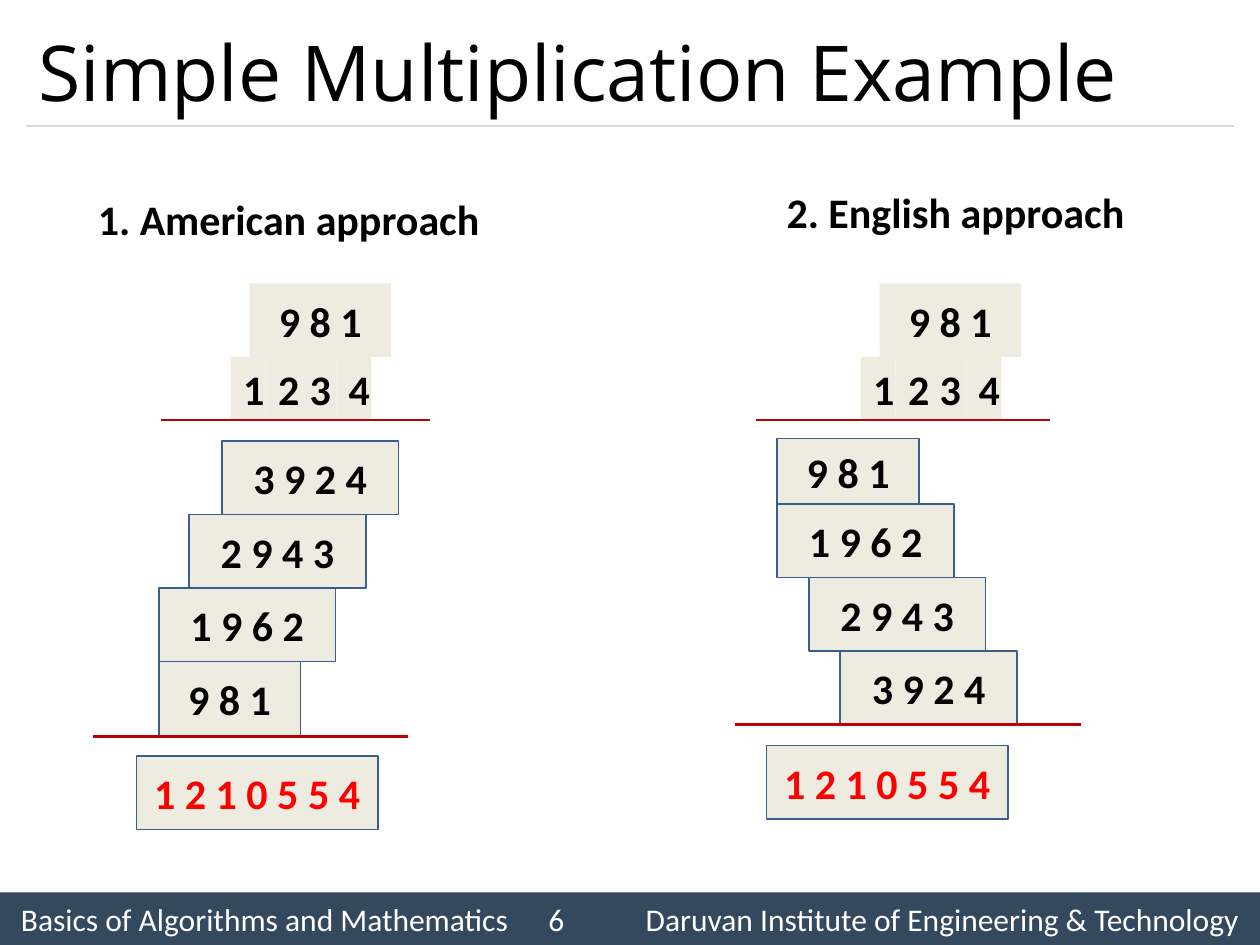
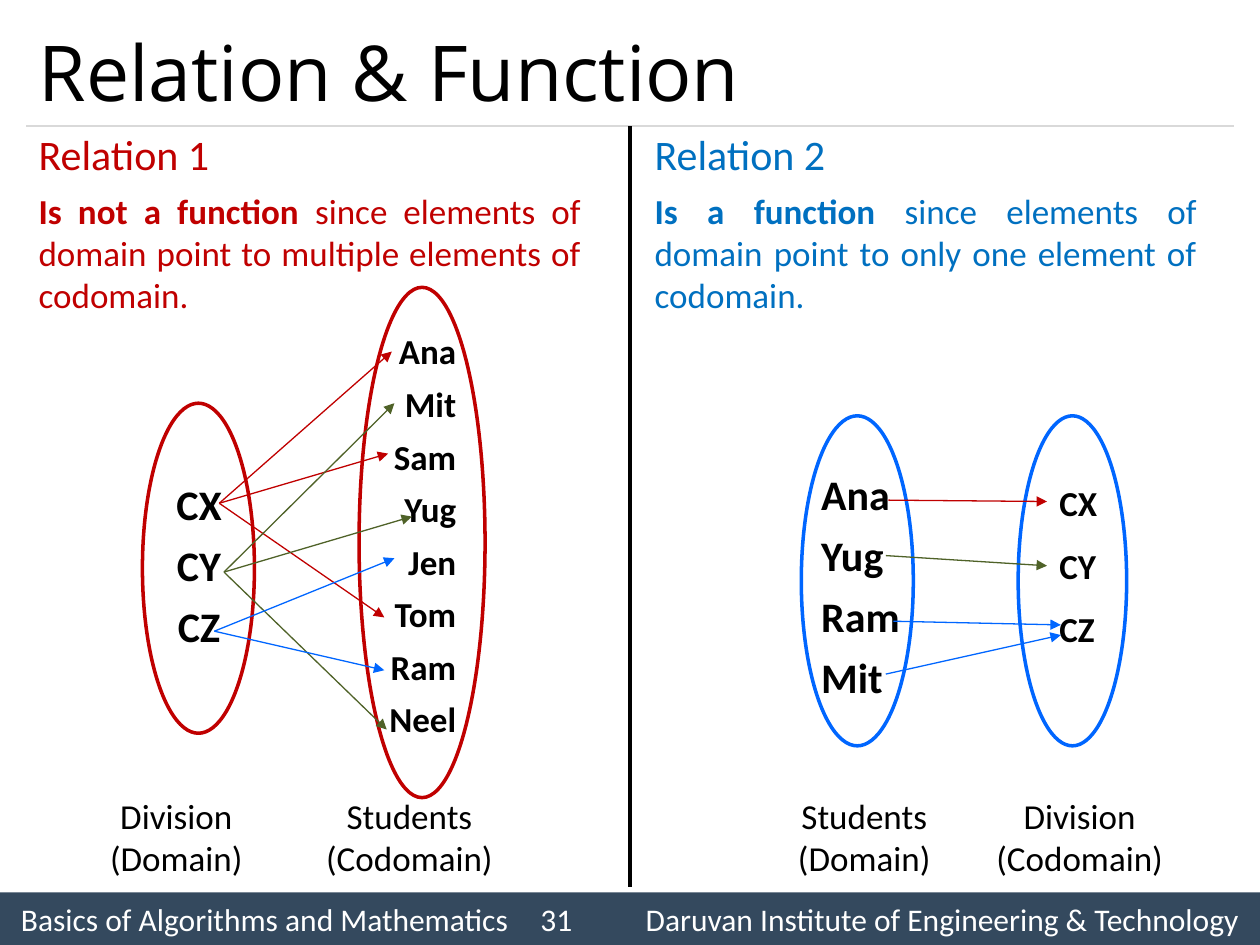
from pptx import Presentation
from pptx.util import Pt
from pptx.dml.color import RGBColor
from pptx.enum.shapes import MSO_CONNECTOR, MSO_SHAPE
from pptx.enum.text import MSO_ANCHOR, PP_ALIGN
from pptx.oxml.ns import qn
from lxml import etree

RECT, OVAL = MSO_SHAPE.RECTANGLE, MSO_SHAPE.OVAL
STRAIGHT = MSO_CONNECTOR.STRAIGHT
LEFT, CENTER, RIGHT, JUSTIFY = PP_ALIGN.LEFT, PP_ALIGN.CENTER, PP_ALIGN.RIGHT, PP_ALIGN.JUSTIFY
TOP, MIDDLE = MSO_ANCHOR.TOP, MSO_ANCHOR.MIDDLE

COLORS = {
    "black": "000000", "white": "FFFFFF", "band": "34495E", "rule": "D9D9D9",
    "cell": "EEECE1", "border": "3A5F8C", "result": "FF0000", "red": "C00000",
    "blue": "0066FF", "sky": "0070C0", "green": "4F6228",
}
BODY_FONT, TITLE_FONT = "Calibri", "Open Sans"
SLIDE_W, SLIDE_H = 720, 540
COURSE = "Basics of Algorithms and Mathematics"
INSTITUTE = "Daruvan Institute of Engineering & Technology"


def rgb(name):
    return RGBColor.from_string(COLORS[name])


def style_run(r, size, color="black", bold=False, font=BODY_FONT):
    r.font.size, r.font.bold, r.font.name = Pt(size), bold, font
    r.font.color.rgb = rgb(color)


def write(sp, lines, size, color="black", bold=False, align=LEFT, anchor=TOP,
          font=BODY_FONT, before=0, after=0, spacing=None):
    """Fill a shape with one paragraph per line."""
    tf = sp.text_frame
    tf.word_wrap, tf.vertical_anchor = True, anchor
    tf.text = "\n".join(lines)
    for p in tf.paragraphs:
        p.alignment, p.line_spacing = align, spacing
        p.space_before, p.space_after = Pt(before), Pt(after)
        for r in p.runs:
            style_run(r, size, color, bold, font)
    return tf


def add_text(s, x, y, w, h, lines, size, **style):
    sp = s.shapes.add_textbox(Pt(x), Pt(y), Pt(w), Pt(h))
    return write(sp, lines, size, **style)


def add_shape(s, kind, x, y, w, h, fill=None, line=None, width=1):
    sp = s.shapes.add_shape(kind, Pt(x), Pt(y), Pt(w), Pt(h))
    sp.shadow.inherit = False
    if fill:
        sp.fill.solid()
        sp.fill.fore_color.rgb = rgb(fill)
    else:
        sp.fill.background()
    if line:
        sp.line.color.rgb = rgb(line)
        sp.line.width = Pt(width)
    else:
        sp.line.fill.background()
    return sp


def add_line(s, x1, y1, x2, y2, color, width, arrow=False):
    cx = s.shapes.add_connector(STRAIGHT, Pt(x1), Pt(y1), Pt(x2), Pt(y2))
    cx.line.color.rgb = rgb(color)
    cx.line.width = Pt(width)
    if arrow:
        etree.SubElement(cx.line._get_or_add_ln(), qn("a:tailEnd"), type="triangle")
    etree.SubElement(cx._element.spPr, qn("a:effectLst"))


def add_footer(s, number):
    inset, height = 12, 30
    sp = add_shape(s, RECT, 0, SLIDE_H - height, SLIDE_W, height, fill="band")
    tf = write(sp, [f"{COURSE}\t{number}\t{INSTITUTE}"], 18, "white", anchor=MIDDLE)
    tf.margin_left, tf.margin_right = Pt(inset), 0
    # Tab stops: page number centred, institute to its right
    tabs = etree.SubElement(tf.paragraphs[0]._p.get_or_add_pPr(), qn("a:tabLst"))
    for x, algn in ((318, "ctr"), (369, "l")):
        etree.SubElement(tabs, qn("a:tab"), pos=str(int(Pt(x - inset))), algn=algn)


def add_base_slide(prs, title, number):
    s = prs.slides.add_slide(prs.slide_layouts[6])
    add_footer(s, number)
    add_line(s, 15, 72, SLIDE_W - 15, 72, "rule", 0.75)
    add_text(s, 15, 9, 690, 63, [title], 44, font=TITLE_FONT, anchor=MIDDLE)
    return s


def add_number(s, x, y, w, h, text, color="black", line="border"):
    sp = add_shape(s, RECT, x, y, w, h, fill="cell", line=line)
    write(sp, [text], 24, color, bold=True, align=CENTER, anchor=MIDDLE)


def add_multiplication(s, left, top, m):
    """One worked multiplication: factors, partial products and result."""
    x, w = m["heading_box"]
    add_text(s, left + x, top, w, 50, [m["heading"]], 24, bold=True,
             align=CENTER, spacing=m["spacing"])

    # Factors
    add_number(s, left + 106.6, top + 59, 81, 42, "9 8 1", line=None)
    for digit, x, w in (("4", 156.2, 20), ("3", 133.9, 22.3),
                        ("2", 115.9, 21.6), ("1", 95.8, 20)):
        add_number(s, left + x, top + 101, w, 36, digit, line=None)

    # Partial products, stacked downwards
    y = top + m["first"]
    for text, x, h in m["partials"]:
        add_number(s, left + x, y, 81 if len(text) == 5 else 101, h, text)
        y += h

    # Result and the two rules
    add_number(s, left + 42, top + m["result"], 138, 42, "1 2 1 0 5 5 4", "result")
    for x1, x2, y in m["rules"]:
        add_line(s, left + x1, top + y, left + x2, top + y, "red", 1.5)


def add_relation(s, left, top, m):
    """One relation: heading, explanation and arrow diagram."""
    # Sets
    for x, y, w, h in m["ovals"]:
        add_shape(s, OVAL, left + x, top + y, w, h, line=m["outline"], width=2)
    for x, caption in m["captions"]:
        add_text(s, left + x, top + 380.7, 129.6, 55.4, [caption], 20, align=CENTER)
    for (x, y, w, h), names, size, style in m["members"]:
        add_text(s, left + x, top + y, w, h, names, size, bold=True, before=6, **style)

    # Arrows from each domain element
    for color, (x, y), ends in m["arrows"]:
        for x2, y2 in ends:
            add_line(s, left + x, top + y, left + x2, top + y2, color, 0.75, arrow=True)

    # Heading and explanation
    add_text(s, left, top, 129, 36, [m["heading"]], 24, color=m["color"])
    tf = add_text(s, left, top + 35, 324, 80, [m["verdict"]], 20,
                  color=m["color"], bold=True, align=JUSTIFY)
    r = tf.paragraphs[0].add_run()
    r.text = m["reason"]
    style_run(r, 20, m["color"])


AMERICAN = {
    "heading": "1. American approach", "heading_box": (0, 258), "spacing": 1.14,
    "first": 149, "result": 329,
    "partials": [("3 9 2 4", 90.7, 42), ("2 9 4 3", 72, 42),
                 ("1 9 6 2", 54.7, 42), ("9 8 1", 54.7, 43)],
    "rules": [(56, 210, 137), (17, 197, 318)],
}
ENGLISH = {
    "heading": "2. English approach", "heading_box": (12, 276), "spacing": None,
    "first": 147.5, "result": 323,
    "partials": [("9 8 1", 48.2, 37.5), ("1 9 6 2", 48.2, 42),
                 ("2 9 4 3", 66.2, 42), ("3 9 2 4", 84.2, 42)],
    "rules": [(36, 204, 137), (24, 222, 311)],
}
NOT_FUNCTION = {
    "heading": "Relation 1", "color": "red", "outline": "red",
    "verdict": "Is not a function ",
    "reason": "since elements of domain point to multiple elements of codomain.",
    "ovals": [(66.4, 160.4, 64, 188.6), (190.2, 94.2, 72, 291.6)],
    "captions": [(21, "Division\v(Domain)"), (154.2, "Students\v(Codomain)")],
    "members": [
        ((72.8, 200, 51.8, 106.6), ["CX", "CY", "CZ"], 24, {"align": CENTER}),
        ((198.8, 115, 54, 243.4),
         ["Ana", "Mit", "Sam", "Yug", "Jen", "Tom", "Ram", "Neel"], 20, {"align": RIGHT}),
    ],
    "arrows": [
        ("red", (110.3, 217.6), [(208.9, 130.9), (206.8, 189.2), (204.6, 282.8)]),
        ("green", (113, 256.9), [(210.4, 160.4), (220.4, 225.2), (206, 346.9)]),
        ("blue", (107.5, 290.7), [(210.4, 249), (204.6, 313)]),
    ],
}
FUNCTION = {
    "heading": "Relation 2", "color": "sky", "outline": "blue",
    "verdict": "Is a function ",
    "reason": "since elements of domain point to only one element of codomain.",
    "ovals": [(90.9, 167.6, 64, 188.6), (214.8, 167.6, 62, 188.6)],
    "captions": [(62.1, "Students\v(Domain)"), (185.2, "Division\v(Codomain)")],
    "members": [
        ((95.2, 194.2, 60, 142), ["Ana", "Yug", "Ram", "Mit"], 24, {}),
        ((231.3, 201.4, 54, 104), ["CX", "CY", "CZ"], 20, {"after": 6}),
    ],
    "arrows": [
        ("red", (140.6, 215.8), [(231.3, 216.6)]),
        ("green", (139.2, 247.5), [(231.3, 253.3)]),
        ("blue", (143.5, 285), [(239.2, 287.1)]),
        ("blue", (139.2, 315.2), [(239.2, 292.9)]),
    ],
}

prs = Presentation()
prs.slide_width, prs.slide_height = Pt(SLIDE_W), Pt(SLIDE_H)

# Multiplication slide
s = add_base_slide(prs, "Simple Multiplication Example", 6)
add_multiplication(s, 36, 103, AMERICAN)
add_multiplication(s, 396, 103, ENGLISH)

# Relation slide
s = add_base_slide(prs, "Relation & Function", 31)
add_relation(s, 15, 70, NOT_FUNCTION)
add_relation(s, 367, 70, FUNCTION)
add_line(s, SLIDE_W / 2, 72, SLIDE_W / 2, 507, "black", 2.25)

prs.save("out.pptx")
